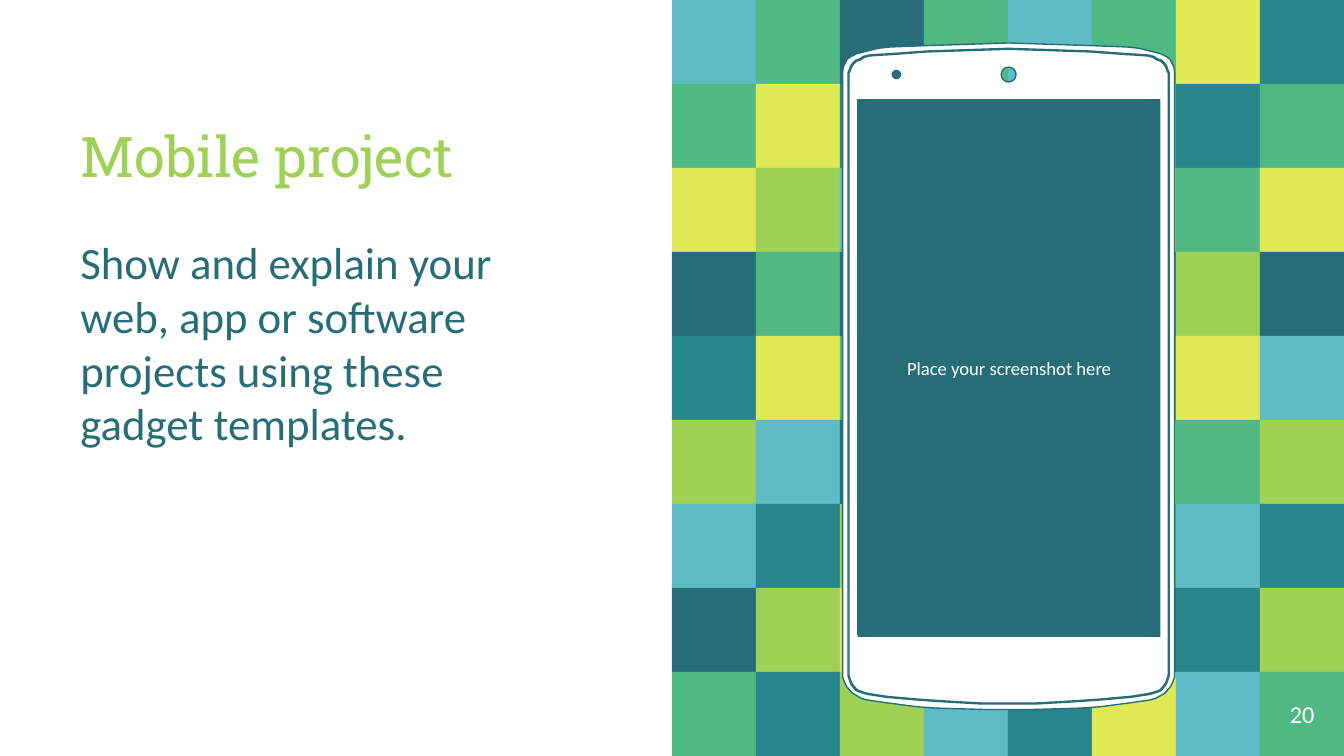
from dataclasses import dataclass
from math import cos, pi, sin
from typing import NamedTuple

from pptx import Presentation
from pptx.dml.color import RGBColor
from pptx.enum.shapes import MSO_SHAPE as Shape
from pptx.enum.text import MSO_ANCHOR as Anchor
from pptx.enum.text import MSO_AUTO_SIZE as AutoSize
from pptx.enum.text import PP_ALIGN as Align
from pptx.oxml.xmlchemy import OxmlElement
from pptx.util import Cm, Pt


@dataclass(frozen=True)
class Theme:
    lime: str = "9ED155"
    navy: str = "266D78"
    yellow: str = "DFE954"
    green: str = "50B883"
    teal: str = "27868B"
    blue: str = "5FBBC5"
    white: str = "FFFFFF"
    title_font: str = "Roboto Slab"
    body_font: str = "Calibri"
    title_size: int = 30
    body_size: int = 24
    number_size: int = 13
    caption_size: int = 10


class Box(NamedTuple):
    """Left, top, width and height in centimetres."""
    left: float
    top: float
    width: float
    height: float


class TextStyle(NamedTuple):
    font: str
    size: int
    color: str
    align: Align
    anchor: Anchor


Point = tuple[float, float]
THEME = Theme()
TILE = 25.4 / 16
MOSAIC_LEFT = 12.7
TILE_COLORS = {"L": THEME.lime, "D": THEME.navy, "Y": THEME.yellow,
               "G": THEME.green, "T": THEME.teal, "B": THEME.blue}
# One letter per tile; dots are empty places behind the phone.
MOSAIC = ["BGDGBGYT", "GYTDYBTG", "YLB..YGY", "DGD..TLD", "TYG..GYB",
          "LBD..LGL", "BTL..GBT", "DLYDGDTL", "GTLBTYBG"]

# The phone is measured in hundredths of an inch.
PHONE_UNIT = Cm(2.54) / 100
PHONE_STEPS = 10
PHONE_X, PHONE_Y = 750.5, 280
# Right halves, top to bottom: distance from the phone's axis, then height.
CASE_HALF = [(0, 32), (30, 33), (61, 34), (88, 35), (97, 36), (105, 38), (109, 39),
             (113, 40), (117, 42), (120, 44), (121.5, 47), (123, 50), (123.5, 54),
             (123.5, 58), (123.5, 500), (123.5, 504), (122, 508), (120.5, 511),
             (118, 514), (116, 516), (112.5, 518), (109, 520), (105, 521), (91, 523),
             (68, 526), (54, 527), (37, 527.5), (19, 528), (0, 528)]
RIM_HALF = [(0, 36), (30, 37), (61, 38), (88, 40), (97, 40.5), (104, 41), (108, 42),
            (111, 44), (114, 45), (116, 47), (117.5, 49), (118.5, 52), (119.5, 54),
            (119.5, 58), (119.5, 500), (119.5, 503), (118.5, 506), (117.5, 509),
            (116, 511), (113.5, 514), (111, 515), (108, 516), (104, 517), (91, 519),
            (68, 521), (54, 522), (37, 523), (19, 524), (0, 524)]


def rgb(color: str) -> RGBColor:
    return RGBColor.from_string(color)


def place(shape, box: Box) -> None:
    shape.left, shape.top, shape.width, shape.height = map(Cm, box)


def write(shape, text: str, style: TextStyle):
    """Fill a shape with one formatted paragraph and return it."""
    frame = shape.text_frame
    frame.text = text
    frame.word_wrap = True
    frame.auto_size = AutoSize.NONE
    frame.vertical_anchor = style.anchor
    frame.margin_left = frame.margin_right = Cm(0.25)
    frame.margin_top = frame.margin_bottom = Cm(0.25)
    paragraph = frame.paragraphs[0]
    paragraph.alignment = style.align
    font = paragraph.runs[0].font
    font.name, font.size = style.font, Pt(style.size)
    font.color.rgb = rgb(style.color)
    return paragraph


def remove_bullet(paragraph) -> None:
    properties = paragraph._p.get_or_add_pPr()
    properties.set("marL", "0")
    properties.set("indent", "0")
    properties.append(OxmlElement("a:buNone"))


def add_rectangle(slide, box: Box, color: str):
    shape = slide.shapes.add_shape(Shape.RECTANGLE, *map(Cm, box))
    shape.shadow.inherit = False
    shape.fill.solid()
    shape.fill.fore_color.rgb = rgb(color)
    shape.line.fill.background()
    return shape


def add_mosaic(slide) -> None:
    for row, letters in enumerate(MOSAIC):
        for column, letter in enumerate(letters):
            if letter in TILE_COLORS:
                box = Box(MOSAIC_LEFT + column * TILE, row * TILE, TILE, TILE)
                add_rectangle(slide, box, TILE_COLORS[letter])


def mirrored(half: list[Point]) -> list[Point]:
    """Close a right half into a full outline around the phone's axis."""
    left = [(-x, y) for x, y in reversed(half[1:-1])]
    return [(PHONE_X + x, y) for x, y in half + left]


def inset(outline: list[Point], gap: float) -> list[Point]:
    """Pull an outline towards the phone's centre by about the gap."""
    x_scale, y_scale = 1 - gap / 120, 1 - gap / 244
    return [(PHONE_X + (x - PHONE_X) * x_scale, PHONE_Y + (y - PHONE_Y) * y_scale)
            for x, y in outline]


def circle(x: float, y: float, radius: float, sides: int = 24) -> list[Point]:
    angles = [2 * pi * side / sides for side in range(sides)]
    return [(x + radius * cos(angle), y + radius * sin(angle)) for angle in angles]


def add_phone(slide) -> None:
    """Draw the case with its rim groove, screen and camera openings cut out."""
    rim = mirrored(RIM_HALF)
    screen = [(638, 74), (863, 74), (863, 472), (638, 472)]
    outlines = [mirrored(CASE_HALF), rim, inset(rim, 0.7), screen,
                circle(667, 55.5, 3), circle(PHONE_X, 55.5, 5.5)]
    outlines = [[(x * PHONE_STEPS, y * PHONE_STEPS) for x, y in outline]
                for outline in outlines]
    builder = slide.shapes.build_freeform(*outlines[0][0],
                                          scale=PHONE_UNIT / PHONE_STEPS)
    builder.add_line_segments(outlines[0][1:], close=True)
    for outline in outlines[1:]:
        builder.move_to(*outline[0])
        builder.add_line_segments(outline[1:], close=True)
    phone = builder.convert_to_shape()
    phone.shadow.inherit = False
    phone.fill.solid()
    phone.fill.fore_color.rgb = rgb(THEME.white)
    phone.line.color.rgb = rgb(THEME.navy)
    phone.line.width = Pt(0.75)


def main() -> None:
    presentation = Presentation()
    presentation.slide_width, presentation.slide_height = Cm(25.4), Cm(14.29)
    slide = presentation.slides.add_slide(presentation.slide_layouts[1])

    title, body = slide.shapes.title, slide.placeholders[1]
    place(title, Box(1.27, 1.42, 9.83, 2.39))
    write(title, "Mobile project", TextStyle(
        THEME.title_font, THEME.title_size, THEME.lime, Align.LEFT, Anchor.BOTTOM))
    place(body, Box(1.27, 4.19, 9.83, 9.07))
    paragraph = write(
        body, "Show and explain your web, app or software projects using these "
        "gadget templates.", TextStyle(
            THEME.body_font, THEME.body_size, THEME.navy, Align.LEFT, Anchor.TOP))
    paragraph.space_before = Pt(6)
    remove_bullet(paragraph)

    add_mosaic(slide)
    add_phone(slide)
    screen = add_rectangle(slide, Box(16.21, 1.88, 5.72, 10.16), THEME.navy)
    write(screen, "Place your screenshot here", TextStyle(
        THEME.body_font, THEME.caption_size, THEME.white, Align.CENTER, Anchor.MIDDLE))

    number_box = Box(MOSAIC_LEFT + 7 * TILE, 8 * TILE, TILE, TILE)
    number = slide.shapes.add_textbox(*map(Cm, number_box))
    write(number, "20", TextStyle(
        THEME.body_font, THEME.number_size, THEME.white, Align.CENTER, Anchor.MIDDLE))
    presentation.save("out.pptx")


if __name__ == "__main__":
    main()
